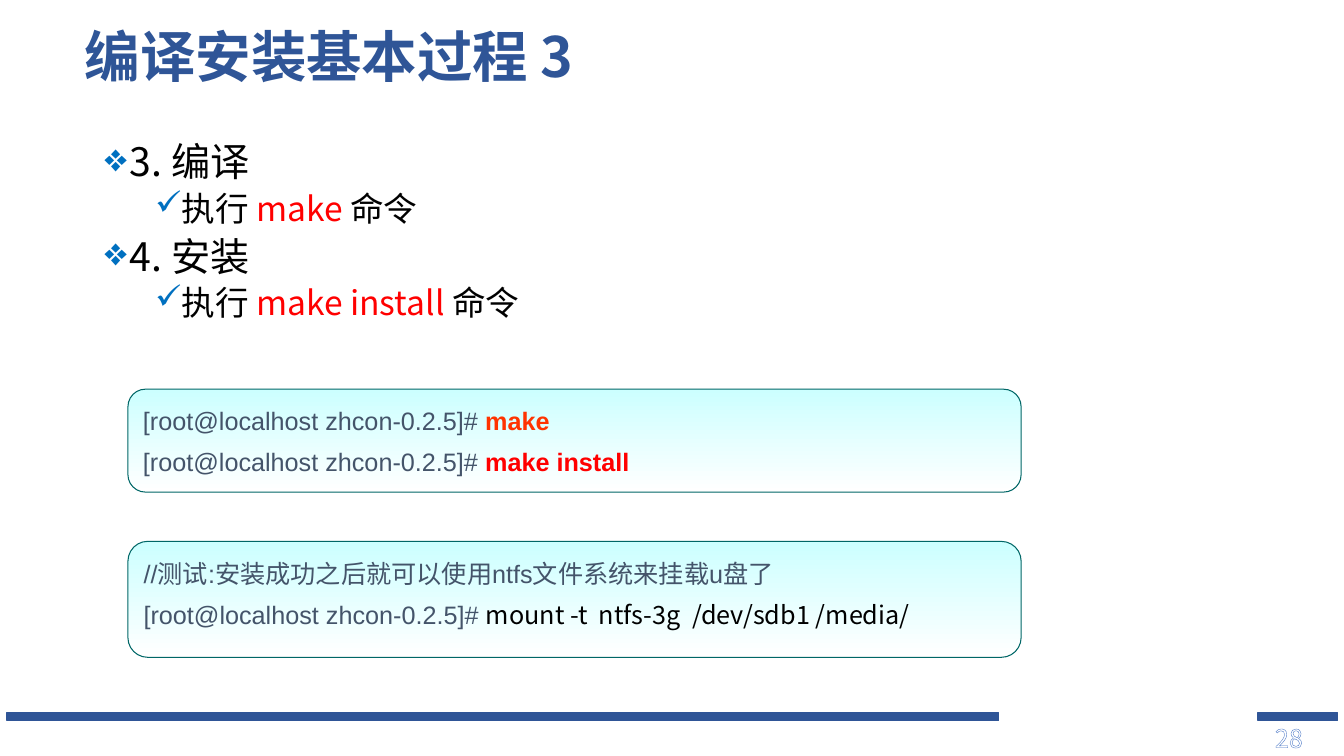
"""Build the slide on compiling and installing with make."""
from lxml.etree import SubElement
from pptx import Presentation
from pptx.dml.color import RGBColor
from pptx.enum.dml import MSO_PATTERN
from pptx.enum.shapes import MSO_SHAPE
from pptx.enum.text import MSO_ANCHOR, MSO_AUTO_SIZE, PP_ALIGN
from pptx.oxml import parse_xml
from pptx.oxml.ns import nsdecls, qn
from pptx.util import Pt

COLORS = {
    "navy": "2F5597", "bullet": "0070C0", "black": "000000", "red": "FF0000",
    "orange": "FF3300", "slate": "44546A", "teal": "006666", "aqua": "CCFFFF",
    "white": "FFFFFF", "pale": "8FAADC", "outline": "4472C4",
}
SANS, ARIAL = "Noto Sans CJK SC", "Arial"
TITLE = "编译安装基本过程 3"
PAGE = "28"
STEPS = [
    (0, [("3. 编译", "black")]),
    (1, [("执行 ", "black"), ("make ", "red"), ("命令", "black")]),
    (0, [("4. 安装", "black")]),
    (1, [("执行 ", "black"), ("make install ", "red"), ("命令", "black")]),
]
LEVELS = [
    {"mark": "❖", "size": 28, "left": 18, "before": 6.8},
    {"mark": "✓", "size": 24, "left": 54, "before": 4.8},
]
PROMPT = ("[root@localhost zhcon-0.2.5]# ", "slate", ARIAL, False)
PANELS = [
    (278, 73.5, [
        [PROMPT, ("make", "orange", ARIAL, True)],
        [PROMPT, ("make install", "red", ARIAL, True)],
    ]),
    (386.7, 82.8, [
        [("//测试:安装成功之后就可以使用ntfs文件系统来挂载u盘了", "slate", ARIAL, False)],
        [PROMPT, ("mount -t  ntfs-3g  /dev/sdb1 /media/", "black", SANS, False)],
    ]),
]
BARS = [(5, 708.5), (898.6, 56.9)]


def rgb(name):
    return RGBColor.from_string(COLORS[name])


def box(*lengths):
    return [Pt(v) for v in lengths]


def apply(target, values):
    for key, value in values.items():
        setattr(target, key, value)


def add_run(p, text, size, color=None, font=SANS, bold=False):
    r = p.add_run()
    r.text = text
    apply(r.font, {"size": Pt(size), "bold": bold, "name": font})
    SubElement(r.font._element, qn("a:ea")).set("typeface", SANS)
    if color:
        r.font.color.rgb = rgb(color)
    return r


def next_paragraph(tf, index, before, spacing, left, hanging):
    p = tf.add_paragraph() if index else tf.paragraphs[0]
    pPr = p._p.get_or_add_pPr()
    pPr.set("marL", str(Pt(left)))
    pPr.set("indent", str(-Pt(hanging)))
    apply(p, {"alignment": PP_ALIGN.LEFT, "line_spacing": spacing,
              "space_before": Pt(before if index else 0)})
    return p


def add_shape(s, kind, bounds, line, width):
    sp = s.shapes.add_shape(kind, *box(*bounds))
    sp.shadow.inherit = False
    sp.line.color.rgb = rgb(line)
    sp.line.width = Pt(width)
    return sp


def add_title(s):
    sp = s.shapes.title
    apply(sp, dict(zip(("left", "top", "width", "height"), box(53.3, 17.3, 689.8, 50.4))))
    tf = sp.text_frame
    apply(tf, {"word_wrap": True, "auto_size": MSO_AUTO_SIZE.NONE,
               "vertical_anchor": MSO_ANCHOR.MIDDLE})
    p = next_paragraph(tf, 0, 0, 0.9, 0, 0)
    add_run(p, TITLE, 39.6, "navy", bold=True)


def add_footer(s):
    for left, width in BARS:
        sp = add_shape(s, MSO_SHAPE.RECTANGLE, (left, 509, width, 5.8), "navy", 1)
        sp.fill.solid()
        sp.fill.fore_color.rgb = rgb("navy")
    tf = s.shapes.add_textbox(*box(903.6, 512.6, 51.8, 28.8)).text_frame
    tf.word_wrap = True
    r = add_run(tf.paragraphs[0], PAGE, 18)
    fill = r.font.fill
    fill.patterned()
    fill.pattern = MSO_PATTERN.LIGHT_DOWNWARD_DIAGONAL
    fill.fore_color.rgb = rgb("pale")
    fill.back_color.rgb = rgb("white")
    r.font._element.insert(0, parse_xml(
        f'<a:ln {nsdecls("a")} w="{Pt(1)}"><a:solidFill>'
        f'<a:srgbClr val="{COLORS["outline"]}"/></a:solidFill></a:ln>'))


def add_steps(s):
    tf = s.shapes.add_textbox(*box(67.7, 98.6, 669.6, 404.6)).text_frame
    tf.word_wrap = True
    for i, (level, runs) in enumerate(STEPS):
        style = LEVELS[level]
        p = next_paragraph(tf, i, style["before"], 0.9, style["left"], 18)
        p.level = level
        pPr = p._p.get_or_add_pPr()
        color = SubElement(pPr, qn("a:buClr"))
        SubElement(color, qn("a:srgbClr")).set("val", COLORS["bullet"])
        SubElement(pPr, qn("a:buChar")).set("char", style["mark"])
        for text, name in runs:
            add_run(p, text, style["size"], name)


def add_panel(s, top, height, lines):
    sp = add_shape(s, MSO_SHAPE.ROUNDED_RECTANGLE, (91.4, top, 638, height), "teal", 0.75)
    sp.adjustments[0] = 0.17
    sp.fill.gradient()
    sp.fill.gradient_angle = 270
    for stop, name, position in zip(sp.fill.gradient_stops, ("aqua", "white"), (0, 1)):
        stop.color.rgb = rgb(name)
        stop.position = position
    tf = sp.text_frame
    apply(tf, {"word_wrap": True, "vertical_anchor": MSO_ANCHOR.TOP})
    for i, runs in enumerate(lines):
        p = next_paragraph(tf, i, 3.6, 1.2, 27, 27)
        for text, color, font, bold in runs:
            add_run(p, text, 18, color, font, bold)


def main():
    prs = Presentation()
    apply(prs, {"slide_width": Pt(960), "slide_height": Pt(540)})
    s = prs.slides.add_slide(prs.slide_layouts[5])
    add_footer(s)
    add_steps(s)
    add_title(s)
    for panel in PANELS:
        add_panel(s, *panel)
    prs.save("out.pptx")


if __name__ == "__main__":
    main()
